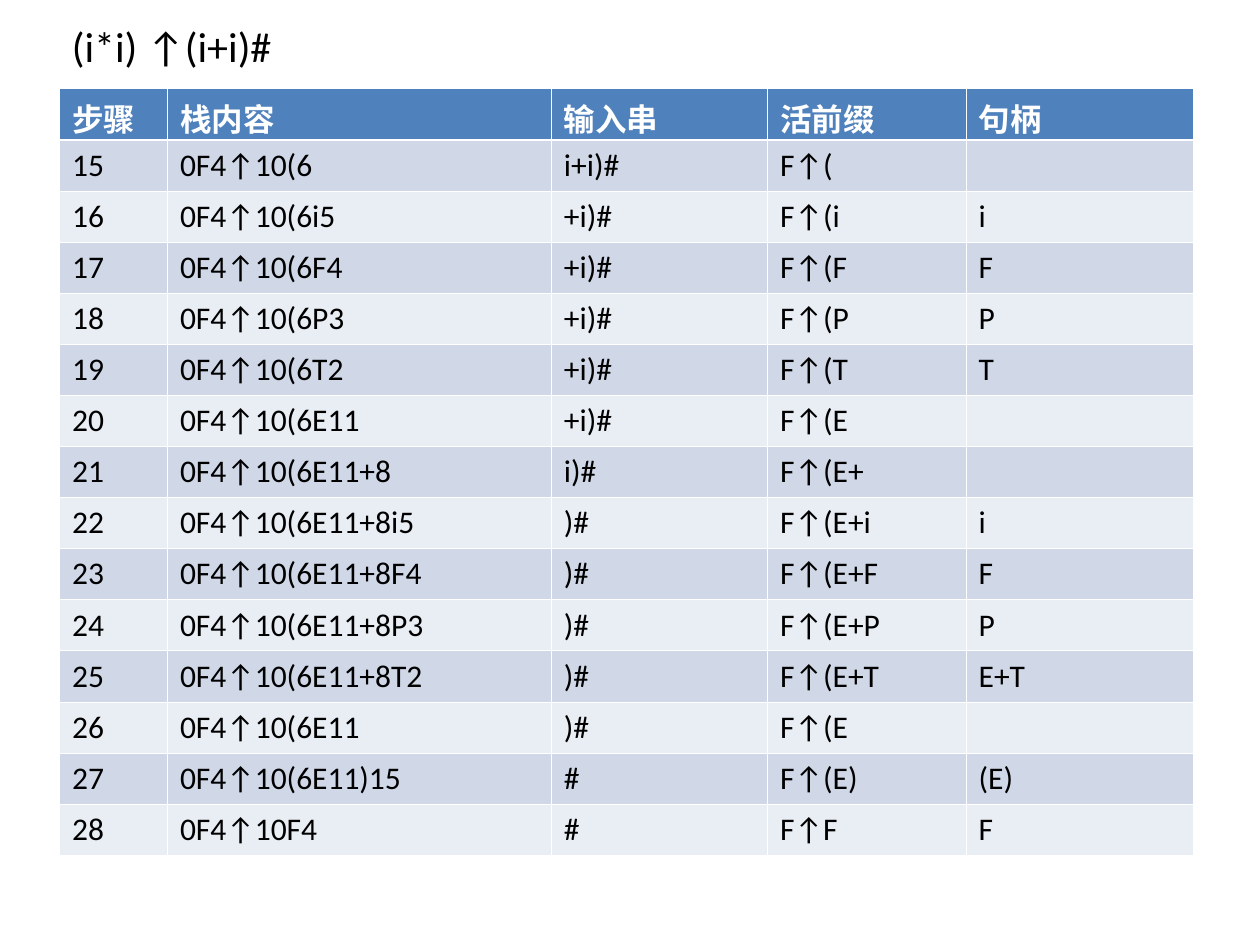
from dataclasses import dataclass

from pptx import Presentation
from pptx.dml.color import RGBColor
from pptx.enum.text import MSO_ANCHOR
from pptx.oxml.ns import qn
from pptx.util import Pt
from lxml.etree import SubElement


@dataclass(frozen=True)
class Theme:
    """Colours, font, type sizes and line widths of the slide."""
    font: str = "Calibri"
    title_size: float = 24
    table_size: float = 18
    text: str = "000000"
    header_text: str = "FFFFFF"
    header_fill: str = "4F81BD"
    bands: tuple = ("D0D8E8", "E9EDF4")
    border: str = "FFFFFF"
    thin: float = 0.45
    thick: float = 1.47


def write(tf, text, *, font, size, color, bold=False):
    """Put one formatted run of text into a text frame."""
    p = tf.paragraphs[0]
    p.font.size = Pt(size)
    if not text:
        return
    r = p.add_run()
    r.text = text
    r.font.name = font
    r.font.size = Pt(size)
    r.font.bold = bold
    r.font.color.rgb = RGBColor.from_string(color)


def add_border(cell, side, color, width):
    """Draw one side of a table cell."""
    tcPr = cell._tc.get_or_add_tcPr()
    ln = SubElement(tcPr, qn(f"a:ln{side}"), w=str(int(Pt(width))))
    SubElement(SubElement(ln, qn("a:solidFill")), qn("a:srgbClr"), val=color)


class SlideBuilder:
    """Place styled elements on the current slide."""

    def __init__(self, slide, theme):
        """Keep the slide and its theme."""
        self.slide = slide
        self.theme = theme

    def title(self, text, left, top, width, height):
        """Add the title line."""
        tf = self.slide.shapes.add_textbox(
            Pt(left), Pt(top), Pt(width), Pt(height)).text_frame
        tf.word_wrap = True
        tf.vertical_anchor = MSO_ANCHOR.MIDDLE
        write(tf, text, font=self.theme.font, size=self.theme.title_size,
              color=self.theme.text)

    def table(self, rows, left, top, widths, row_height):
        """Add a banded table whose first row is the header."""
        table = self.slide.shapes.add_table(
            len(rows), len(widths), Pt(left), Pt(top),
            Pt(sum(widths)), Pt(row_height * len(rows))).table
        for column, width in zip(table.columns, widths):
            column.width = Pt(width)
        for i, row in enumerate(rows):
            table.rows[i].height = Pt(row_height)
            for j, text in enumerate(row):
                self.cell(table.cell(i, j), text, i)

    def cell(self, cell, text, row):
        """Style and fill one table cell."""
        t = self.theme
        header = row == 0
        widths = {"L": t.thin, "R": t.thin,
                  "T": t.thick if row == 1 else t.thin,
                  "B": t.thick if header else t.thin}
        for side, width in widths.items():
            add_border(cell, side, t.border, width)
        fill = t.header_fill if header else t.bands[(row - 1) % 2]
        cell.fill.solid()
        cell.fill.fore_color.rgb = RGBColor.from_string(fill)
        write(cell.text_frame, text, font=t.font, size=t.table_size,
              color=t.header_text if header else t.text, bold=header)


HEADER = ("步骤", "栈内容", "输入串", "活前缀", "句柄")
FIRST_STEP = 15
STEPS = [
    ("0F4↑10(6", "i+i)#", "F↑(", ""),
    ("0F4↑10(6i5", "+i)#", "F↑(i", "i"),
    ("0F4↑10(6F4", "+i)#", "F↑(F", "F"),
    ("0F4↑10(6P3", "+i)#", "F↑(P", "P"),
    ("0F4↑10(6T2", "+i)#", "F↑(T", "T"),
    ("0F4↑10(6E11", "+i)#", "F↑(E", ""),
    ("0F4↑10(6E11+8", "i)#", "F↑(E+", ""),
    ("0F4↑10(6E11+8i5", ")#", "F↑(E+i", "i"),
    ("0F4↑10(6E11+8F4", ")#", "F↑(E+F", "F"),
    ("0F4↑10(6E11+8P3", ")#", "F↑(E+P", "P"),
    ("0F4↑10(6E11+8T2", ")#", "F↑(E+T", "E+T"),
    ("0F4↑10(6E11", ")#", "F↑(E", ""),
    ("0F4↑10(6E11)15", "#", "F↑(E)", "(E)"),
    ("0F4↑10F4", "#", "F↑F", "F"),
]


def main():
    """Build and save the presentation."""
    prs = Presentation()
    prs.slide_width, prs.slide_height = Pt(720), Pt(540)
    s = SlideBuilder(prs.slides.add_slide(prs.slide_layouts[6]), Theme())
    s.title("(i*i) ↑(i+i)#", 34, 0, 648, 52)
    rows = [HEADER] + [(str(n), *step) for n, step in enumerate(STEPS, FIRST_STEP)]
    s.table(rows, 34, 50.7, (61.7, 219.4, 123.6, 113.4, 129.9), 29.2)
    prs.save("out.pptx")


if __name__ == "__main__":
    main()
